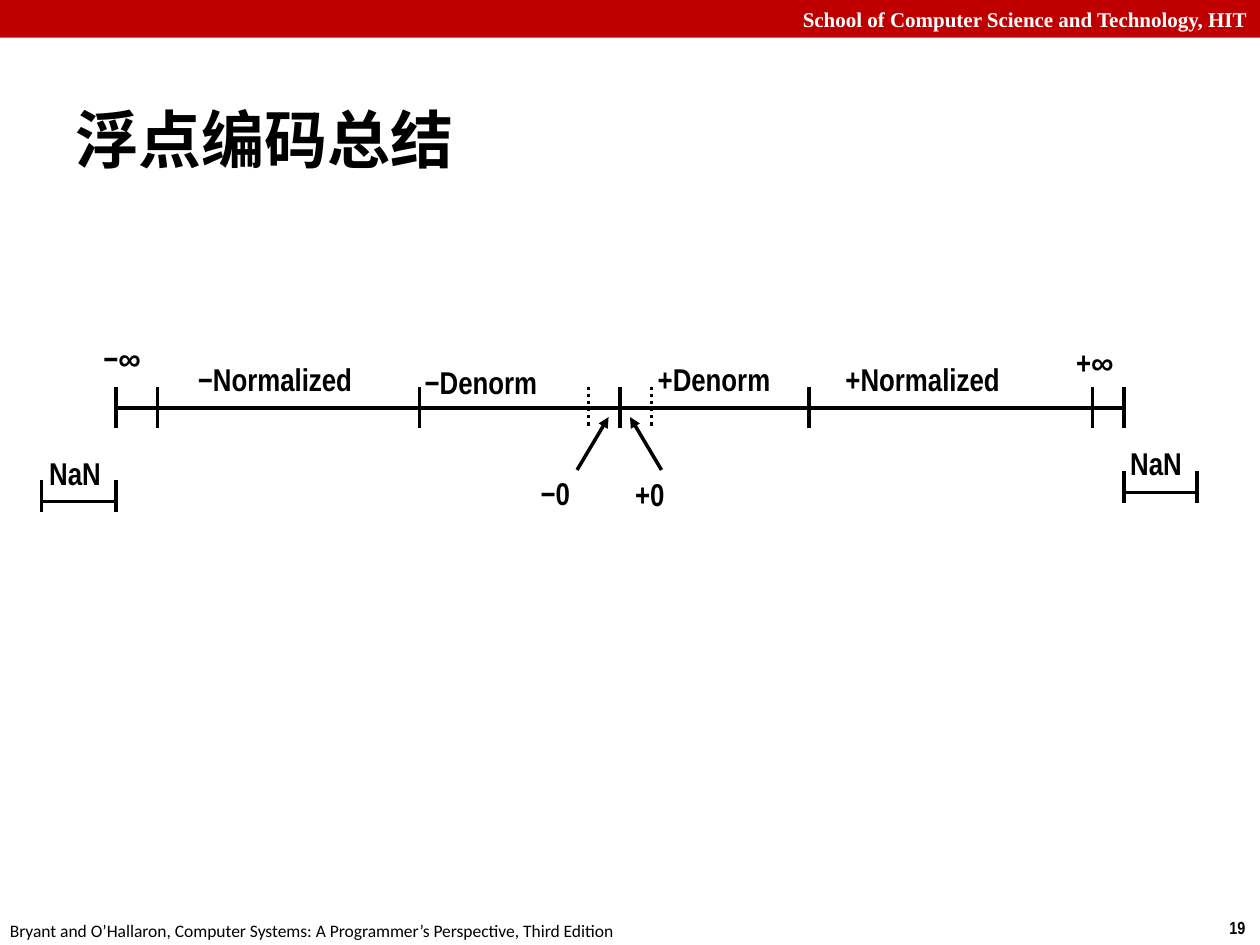
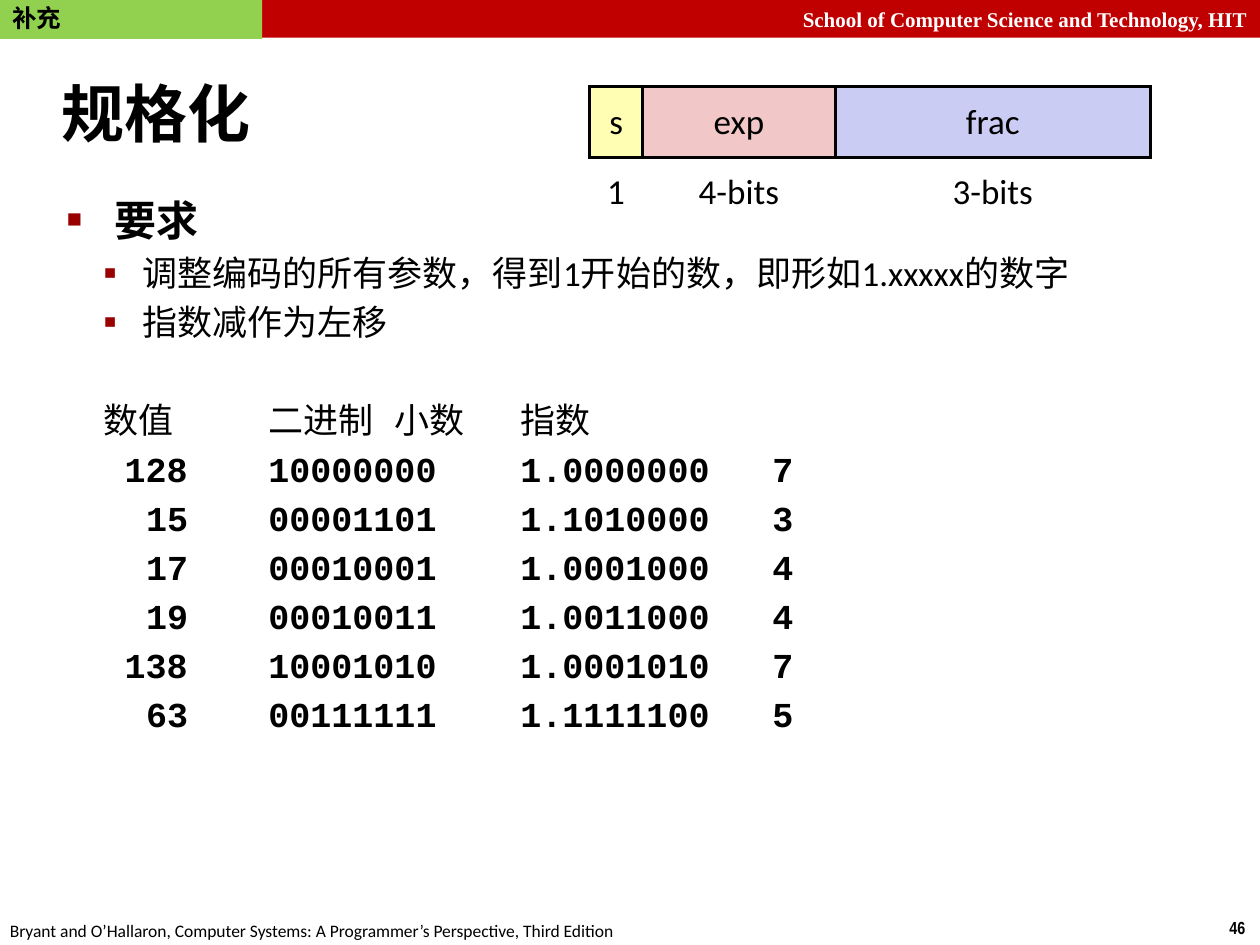
from lxml.etree import SubElement
from pptx import Presentation
from pptx.dml.color import RGBColor
from pptx.enum.dml import MSO_LINE_DASH_STYLE as Dash
from pptx.enum.shapes import MSO_CONNECTOR as Connector, MSO_SHAPE as Shape
from pptx.enum.text import MSO_ANCHOR as Anchor, MSO_AUTO_SIZE as AutoSize, PP_ALIGN as Align
from pptx.oxml.ns import qn
from pptx.util import Inches, Pt

BLACK = RGBColor(0x00, 0x00, 0x00)
WHITE = RGBColor(0xFF, 0xFF, 0xFF)
BAND_RED = RGBColor(0xC0, 0x00, 0x00)
TAG_GREEN = RGBColor(0x92, 0xD0, 0x50)
BULLET_RED = RGBColor(0x99, 0x00, 0x00)
SIGN_YELLOW = RGBColor(0xFF, 0xFE, 0xB2)
EXP_PINK = RGBColor(0xF1, 0xC7, 0xC7)
FRAC_BLUE = RGBColor(0xCB, 0xCC, 0xF3)

BODY_FONT, LABEL_FONT = "Calibri", "Arial Narrow"
CODE_FONT, BAND_FONT = "Courier New", "Times New Roman"
SCHOOL = "School of Computer Science and Technology, HIT"
BOOK = "Bryant and O’Hallaron, Computer Systems: A Programmer’s Perspective, Third Edition"
PLAIN_TABLE = "{2D5ABB26-0587-4C30-8999-92F81FD0307C}"
TITLE_ONLY, TITLE_AND_BODY = 5, 1


class SlideBuilder:
    """Holds the deck style and the slide being built."""

    def __init__(self, deck):
        self.deck = deck
        self.page = None

    def start(self, layout, number, title, title_area):
        self.page = self.deck.slides.add_slide(self.deck.slide_layouts[layout])
        self.bar(10, 0.3, BAND_RED, SCHOOL, 12, BAND_FONT, WHITE, Align.RIGHT)
        self.label(-0.02, 7.25, 5.08, 0.27, BOOK, 10, BODY_FONT, False, 0.1, 0.05)
        self.label(9.66, 7.23, 0.34, 0.27, str(number), 10, inset_x=0.1, inset_y=0.05)
        box = self.page.shapes.title
        self.place(box, *title_area)
        frame = box.text_frame
        frame.text = title
        frame.vertical_anchor = Anchor.MIDDLE
        frame.auto_size = AutoSize.NONE
        self.format(frame.paragraphs[0], 36, BODY_FONT, True, align=Align.LEFT)

    def place(self, box, left, top, width, height):
        box.left, box.top = Inches(left), Inches(top)
        box.width, box.height = Inches(width), Inches(height)

    def format(self, para, size, font, bold, color=BLACK, align=None):
        para.alignment = align
        for span in para.runs:
            span.font.size = Pt(size)
            span.font.name = font
            span.font.bold = bold
            span.font.color.rgb = color

    def bar(self, width, height, fill, text, size, font, color, align):
        box = self.page.shapes.add_shape(Shape.RECTANGLE, 0, 0, Inches(width), Inches(height))
        box.shadow.inherit = False
        box.fill.solid()
        box.fill.fore_color.rgb = fill
        box.line.fill.background()
        box.text_frame.text = text
        self.format(box.text_frame.paragraphs[0], size, font, True, color, align)
        return box

    def label(self, left, top, width, height, text, size=18, font=LABEL_FONT,
              bold=True, inset_x=0.04, inset_y=0.04):
        box = self.page.shapes.add_textbox(
            Inches(left), Inches(top), Inches(width), Inches(height))
        frame = box.text_frame
        frame.margin_left = frame.margin_right = Inches(inset_x)
        frame.margin_top = frame.margin_bottom = Inches(inset_y)
        frame.auto_size = AutoSize.SHAPE_TO_FIT_TEXT
        frame.text = text
        self.format(frame.paragraphs[0], size, font, bold)

    def line(self, x1, y1, x2, y2, dotted=False, arrow=False):
        line = self.page.shapes.add_connector(
            Connector.STRAIGHT, Inches(x1), Inches(y1), Inches(x2), Inches(y2))
        line.line.color.rgb = BLACK
        line.line.width = Pt(2)
        if dotted:
            line.line.dash_style = Dash.ROUND_DOT
        properties = line._element.spPr
        if arrow:
            SubElement(properties.find(qn("a:ln")), qn("a:tailEnd"), type="triangle")
        SubElement(properties, qn("a:effectLst"))

    def bracket(self, left, right, top):
        for x in (left, right):
            self.line(x, top, x, top + 0.25)
        self.line(left, top + 0.17, right, top + 0.17)

    def item(self, frame, text, size, font=BODY_FONT, bold=False, level=0,
             margin=0.6, indent=-0.31, bullet=None, bullet_size=100, before=4):
        """Write the next paragraph of a list; bullet is None for a plain row."""
        para = frame.paragraphs[0] if not frame.text else frame.add_paragraph()
        para.text = text
        para.level = level
        para.space_before = Pt(before)
        self.format(para, size, font, bold, align=Align.LEFT)
        properties = para._p.get_or_add_pPr()
        properties.set("marL", str(Inches(margin)))
        properties.set("indent", str(Inches(indent)))
        properties.set("defTabSz", str(Inches(1)))
        if bullet is None:
            SubElement(properties, qn("a:buNone"))
            return
        color = SubElement(properties, qn("a:buClr"))
        SubElement(color, qn("a:srgbClr"), val=str(BULLET_RED))
        SubElement(properties, qn("a:buSzPct"), val=str(bullet_size * 1000))
        SubElement(properties, qn("a:buFont"), typeface="Arial")
        SubElement(properties, qn("a:buChar"), char=bullet)

    def border(self, cell, sides):
        properties = cell._tc.get_or_add_tcPr()
        for position, side in enumerate(sides):
            edge = properties.makeelement(qn(f"a:ln{side}"), {"w": str(Pt(2))})
            fill = SubElement(edge, qn("a:solidFill"))
            SubElement(fill, qn("a:srgbClr"), val=str(BLACK))
            properties.insert(position, edge)

    def table(self, left, top, widths, row_height, rows, fills):
        """Draw a bordered, filled first row with plain captions under it."""
        frame = self.page.shapes.add_table(
            len(rows), len(widths), Inches(left), Inches(top),
            Inches(sum(widths)), Inches(row_height * len(rows)))
        table = frame.table
        table.first_row = table.horz_banding = False
        table._tbl.tblPr.find(qn("a:tableStyleId")).text = PLAIN_TABLE
        for column, width in zip(table.columns, widths):
            column.width = Inches(width)
        for r, row in enumerate(rows):
            for c, text in enumerate(row):
                cell = table.cell(r, c)
                cell.text = text
                cell.vertical_anchor = Anchor.MIDDLE
                cell.margin_left = cell.margin_right = Inches(0.06)
                cell.margin_top = cell.margin_bottom = Inches(0.06)
                self.format(cell.text_frame.paragraphs[0], 20, BODY_FONT, False,
                            align=Align.CENTER)
                if r == 0:
                    cell.fill.solid()
                    cell.fill.fore_color.rgb = fills[c]
                else:
                    cell.fill.background()
                self.border(cell, "LRTB" if r == 0 else "T")


def build_number_line(slide):
    slide.start(TITLE_ONLY, 19, "浮点编码总结", (0.5, 0.5, 8.84, 1.2))

    # Axis and its ticks
    slide.line(0.92, 3.24, 8.92, 3.24)
    for x in (0.92, 1.25, 3.33, 4.92, 6.42, 8.67, 8.92):
        slide.line(x, 3.07, x, 3.4)
    for x in (4.67, 5.17):
        slide.line(x, 3.07, x, 3.4, dotted=True)

    # NaN ranges and arrows to the two zeros
    slide.bracket(0.33, 0.92, 3.81)
    slide.bracket(8.92, 9.5, 3.74)
    slide.line(4.58, 3.73, 4.83, 3.31, arrow=True)
    slide.line(5.25, 3.73, 5, 3.31, arrow=True)

    # Range names
    for left, top, width, text in (
            (0.78, 2.65, 0.41, "−∞"), (8.5, 2.68, 0.41, "+∞"),
            (1.53, 2.82, 1.51, "−Normalized"), (6.67, 2.82, 1.51, "+Normalized"),
            (3.33, 2.84, 1.13, "−Denorm"), (5.18, 2.82, 1.13, "+Denorm"),
            (4.25, 3.72, 0.36, "−0"), (5, 3.73, 0.37, "+0"),
            (0.35, 3.56, 0.59, "NaN"), (8.93, 3.48, 0.59, "NaN")):
        slide.label(left, top, width, 0.39, text)


def build_normalizing(slide):
    slide.start(TITLE_AND_BODY, 46, "规格化", (0.39, 0.48, 9.61, 0.83))

    # Requirements
    body = slide.page.placeholders[1]
    slide.place(body, 0.43, 1.49, 9.4, 5.44)
    frame = body.text_frame
    frame.auto_size = AutoSize.NONE
    slide.item(frame, "要求", 24, bold=True, margin=0.38, indent=-0.38,
               bullet="■", bullet_size=60, before=5)
    for text in ("调整编码的所有参数，得到1开始的数，即形如1.xxxxx的数字", "指数减作为左移"):
        slide.item(frame, text, 20, level=1, bullet="▪", bullet_size=110)

    # Worked values, with the first column aligned on its last digit
    slide.item(frame, "数值\t二进制\t小数\t指数", 20, level=1, before=32)
    digit_width = 0.17
    for value, binary, fraction, exponent in (
            ("128", "10000000", "1.0000000", "7"),
            ("15", "00001101", "1.1010000", "3"),
            ("17", "00010001", "1.0001000", "4"),
            ("19", "00010011", "1.0011000", "4"),
            ("138", "10001010", "1.0001010", "7"),
            ("63", "00111111", "1.1111100", "5")):
        slide.item(frame, "\t".join((value, binary, fraction, exponent)), 20, CODE_FONT,
                   True, level=1, indent=-0.31 + digit_width * (4 - len(value)))

    # Bit layout
    slide.table(4.68, 0.69, (0.42, 1.53, 2.5), 0.56,
                (("s", "exp", "frac"), ("1", "4-bits", "3-bits")),
                (SIGN_YELLOW, EXP_PINK, FRAC_BLUE))

    # Corner tag
    tag = slide.bar(2.08, 0.31, TAG_GREEN, "补充", 14, BODY_FONT, BLACK, Align.LEFT)
    tag.text_frame.paragraphs[0].line_spacing = Pt(15)


def main():
    deck = Presentation()
    deck.slide_width, deck.slide_height = Inches(10), Inches(7.5)
    slide = SlideBuilder(deck)
    build_number_line(slide)
    build_normalizing(slide)
    deck.save("out.pptx")


if __name__ == "__main__":
    main()
